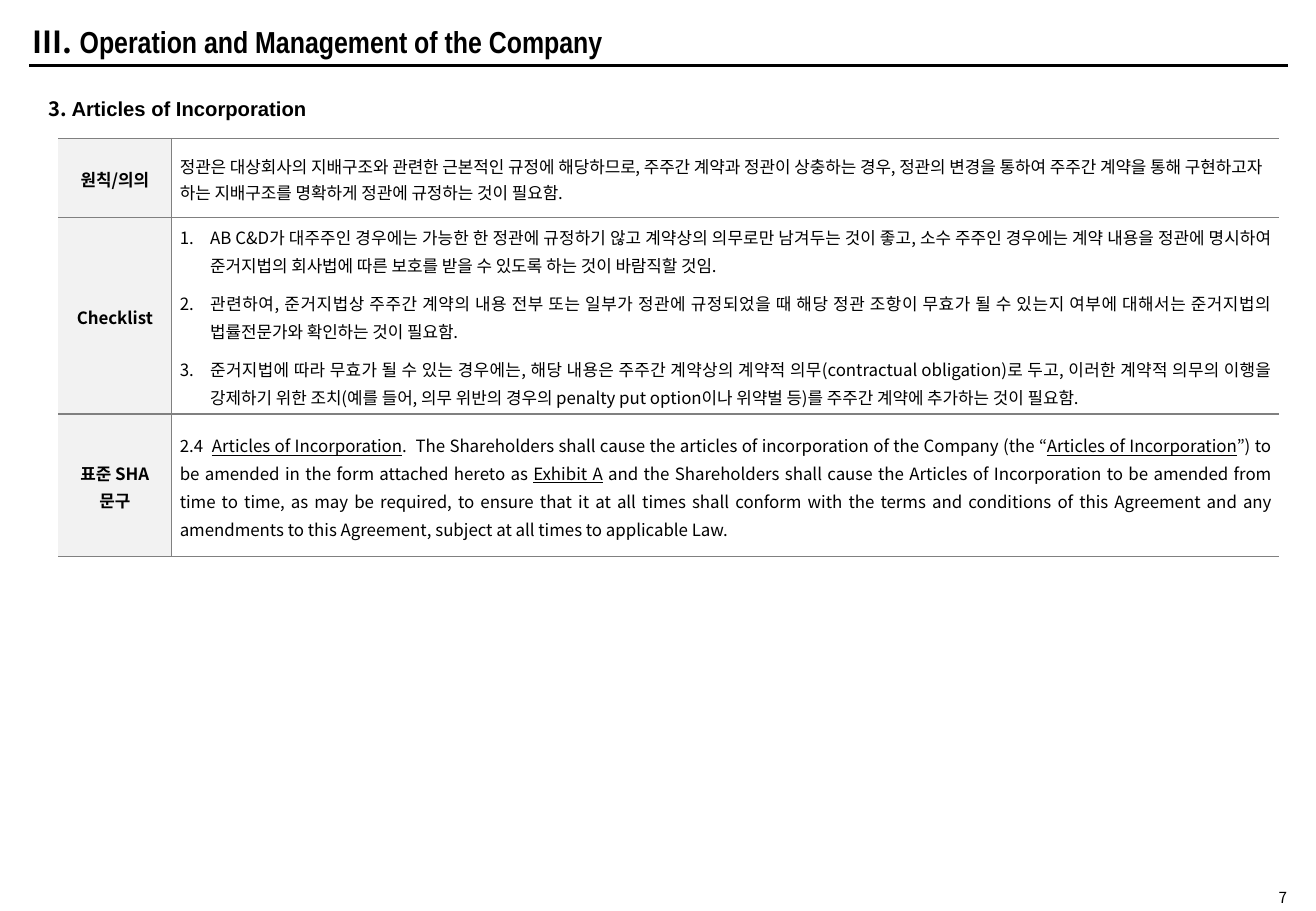
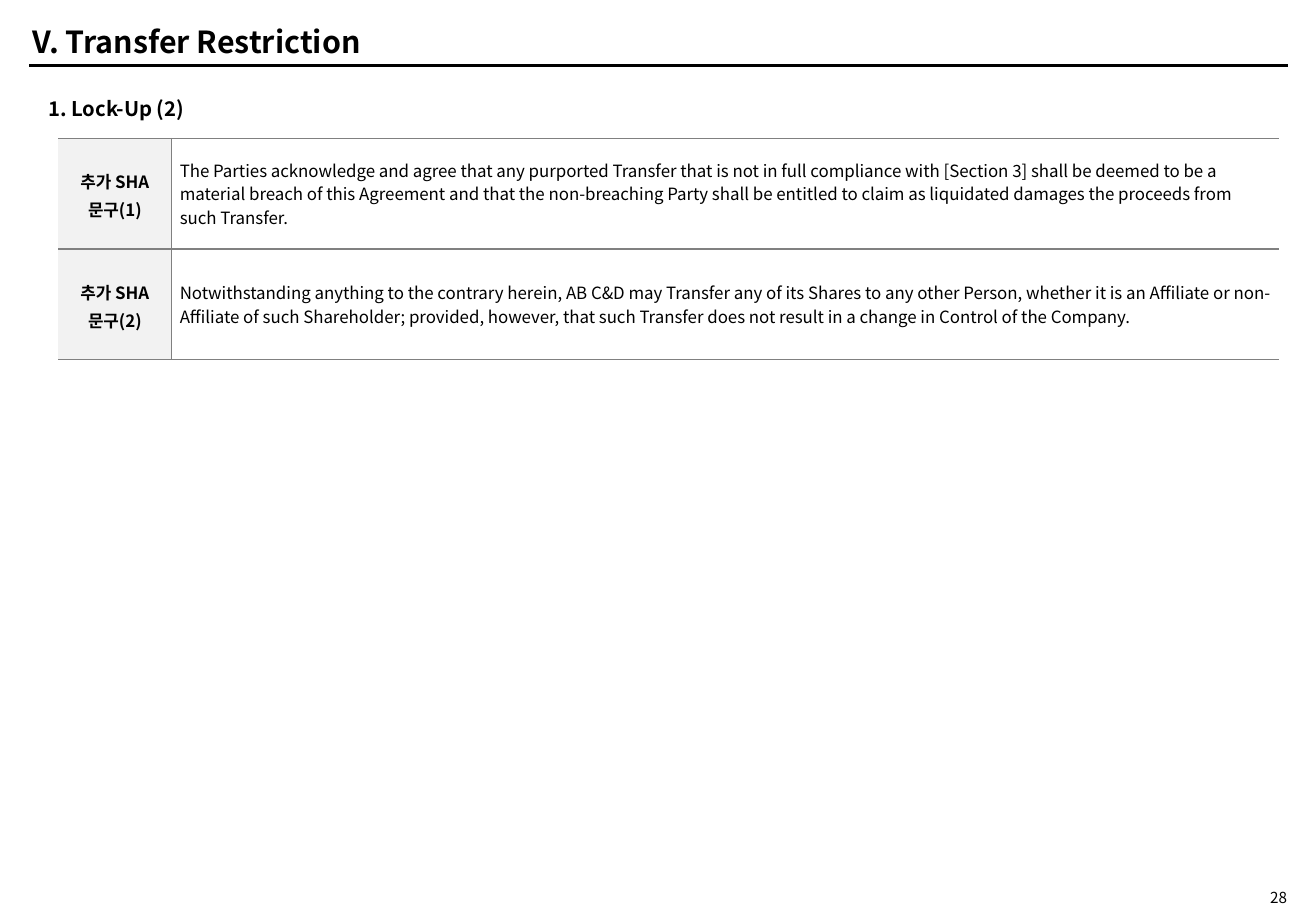
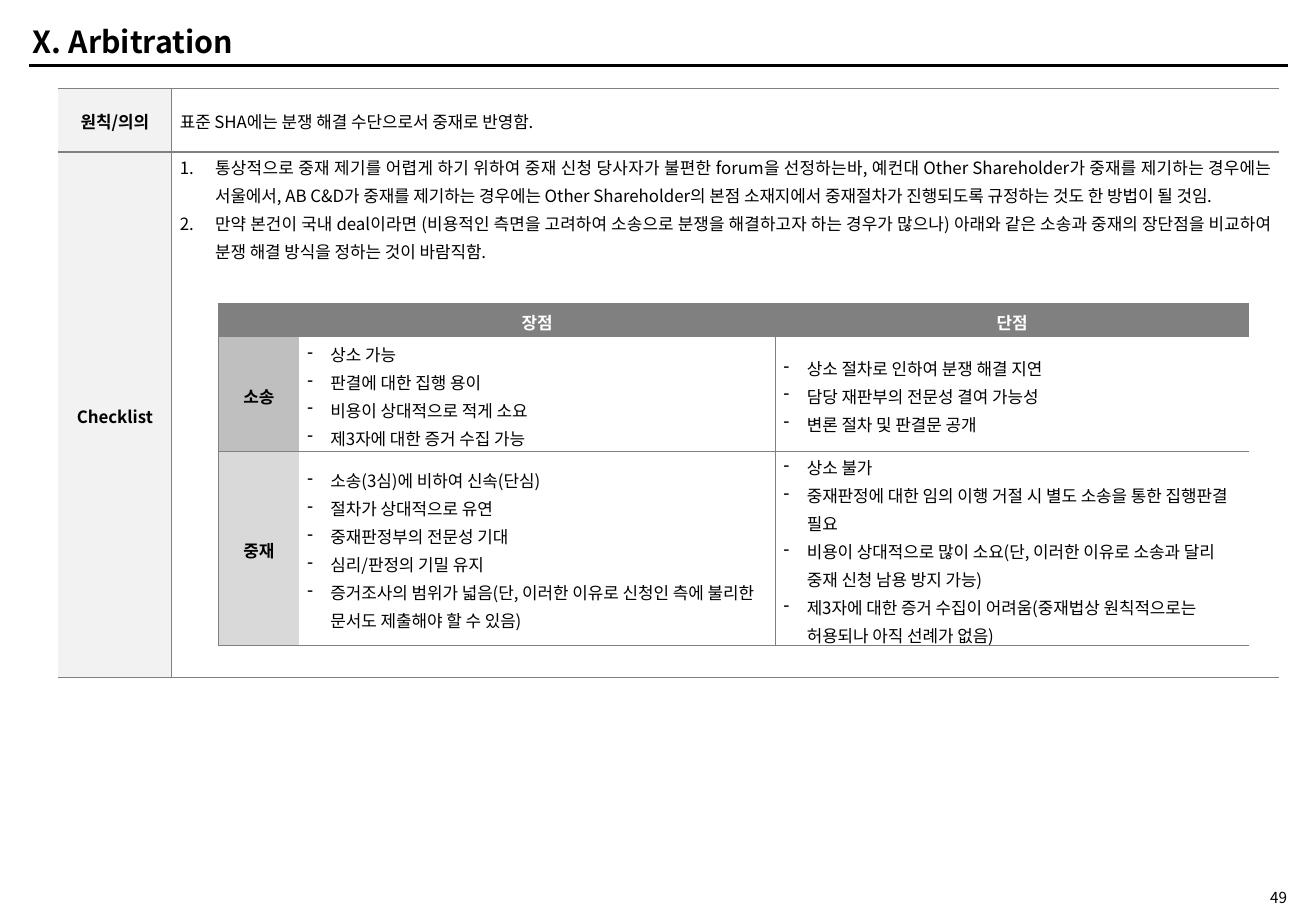
from copy import deepcopy

from lxml import etree
from pptx import Presentation
from pptx.dml.color import RGBColor
from pptx.enum import shapes, text
from pptx.oxml.ns import qn
from pptx.util import Inches, Pt

BLACK = RGBColor(0x00, 0x00, 0x00)
WHITE = RGBColor(0xFF, 0xFF, 0xFF)
RULE = RGBColor(0x80, 0x80, 0x80)
PALE = RGBColor(0xF2, 0xF2, 0xF2)
MID = RGBColor(0xBF, 0xBF, 0xBF)
LIGHT = RGBColor(0xD9, 0xD9, 0xD9)
FONT = "Noto Sans CJK KR"

LEFT, MIDDLE = text.PP_ALIGN.LEFT, text.PP_ALIGN.CENTER
RIGHT, FULL = text.PP_ALIGN.RIGHT, text.PP_ALIGN.JUSTIFY


def sub(parent, tag, **attrs):
    node = etree.SubElement(parent, qn(tag))
    for key, value in attrs.items():
        node.set(key, str(value))
    return node


def add_run(para, words, size, bold, color, font=FONT, under=False):
    """Add one run; a newline in the words becomes a line break."""
    for i, part in enumerate(words.split("\n")):
        if i:
            para.add_line_break()
        run = para.add_run()
        run.text = part
        face = run.font
        face.size, face.bold, face.name = Pt(size), bold, font
        face.color.rgb = color
        if under:
            face.underline = True
        props = run._r.get_or_add_rPr()
        sub(props, "a:ea", typeface=FONT)
        if i:
            run._r.getprevious().append(deepcopy(props))


def write(frame, paras, size=10, bold=False, color=BLACK, align=LEFT,
          line=None, after=0, mark=None, hang=0):
    """Fill a frame; a paragraph is a string or a list of (words, format)."""
    if isinstance(paras, str):
        paras = [paras]
    frame.word_wrap = True
    for i, runs in enumerate(paras):
        para = frame.add_paragraph() if i else frame.paragraphs[0]
        props = para._p.get_or_add_pPr()
        if mark:
            props.set("marL", str(Inches(hang)))
            props.set("indent", str(-Inches(hang)))
            if mark == "1.":
                sub(props, "a:buAutoNum", type="arabicPeriod")
            else:
                sub(props, "a:buChar", char=mark)
        para.alignment = align
        para.space_before, para.space_after = Pt(0), Pt(after)
        if line:
            para.line_spacing = line
        if not runs:
            sub(para._p, "a:endParaRPr", sz=size * 100)
            continue
        if isinstance(runs, str):
            runs = [(runs, {})]
        for words, style in runs:
            add_run(para, words, size, bold, color, **style)


class Deck:
    def __init__(self):
        self.prs = Presentation()
        self.prs.slide_width, self.prs.slide_height = Inches(10.83), Inches(7.5)
        self.slide = None

    def page(self, title, number, width=5.11):
        """Start a slide with its title, rule and page number."""
        self.slide = self.prs.slides.add_slide(self.prs.slide_layouts[5])
        rule = self.slide.shapes.add_connector(
            shapes.MSO_CONNECTOR.STRAIGHT,
            Inches(0.24), Inches(0.54), Inches(10.6), Inches(0.54))
        rule.line.color.rgb, rule.line.width = BLACK, Pt(2)
        sub(rule._element.spPr, "a:effectLst")
        head = self.slide.shapes.title
        head.left, head.top = Inches(0.17), Inches(0.15)
        head.width, head.height = Inches(width), Inches(0.38)
        head.text_frame.auto_size = text.MSO_AUTO_SIZE.NONE
        head.text_frame.vertical_anchor = text.MSO_ANCHOR.MIDDLE
        write(head.text_frame, [title], size=18, bold=True)
        foot = self.box(9.75, 7.31, 0.94, 0.15, str(number), size=9, align=RIGHT)
        foot.margin_top = foot.margin_bottom = 0
        foot.vertical_anchor = text.MSO_ANCHOR.MIDDLE

    def box(self, left, top, width, height, paras, **style):
        shape = self.slide.shapes.add_textbox(
            Inches(left), Inches(top), Inches(width), Inches(height))
        write(shape.text_frame, paras, **style)
        return shape.text_frame

    def topic(self, runs):
        self.box(0.3, 0.74, 10.02, 0.3, [runs], size=12, bold=True)

    def grid(self, left, top, cols, rows):
        """Add a bare table with the given column widths and row heights."""
        table = self.slide.shapes.add_table(
            len(rows), len(cols), Inches(left), Inches(top),
            Inches(sum(cols)), Inches(sum(rows))).table
        table.first_row = table.horz_banding = False
        for col, width in zip(table.columns, cols):
            col.width = Inches(width)
        for row, height in zip(table.rows, rows):
            row.height = Inches(height)
        return table

    def cell(self, cell, paras, sides, weight, fill=None, top=False, **style):
        """Fill a cell; sides names the edges that carry a line."""
        cell.margin_left = cell.margin_right = Inches(0.07)
        cell.margin_top = cell.margin_bottom = 0
        cell.vertical_anchor = (text.MSO_ANCHOR.TOP if top
                                else text.MSO_ANCHOR.MIDDLE)
        props = cell._tc.get_or_add_tcPr()
        for side in "LRTB":
            edge = sub(props, "a:ln" + side, w=Pt(weight))
            if side in sides:
                sub(sub(edge, "a:solidFill"), "a:srgbClr", val=RULE)
            else:
                sub(edge, "a:noFill")
        if fill is None:
            cell.fill.background()
        else:
            cell.fill.solid()
            cell.fill.fore_color.rgb = fill
        write(cell.text_frame, paras, **style)

    def terms(self, top, rows, line=1.1, after=0):
        """Add the label and content table; a row is height, label, text, format."""
        table = self.grid(0.48, top, [0.93, 9.12], [row[0] for row in rows])
        for i, (_, label, paras, style) in enumerate(rows):
            self.cell(table.cell(i, 0), label, "TBR", 1, PALE, bold=True,
                      align=MIDDLE, line=line, after=after)
            self.cell(table.cell(i, 1), paras, "LTB", 1, after=after, **style)

    def versus(self, left, top, cols, heads, rows):
        """Add the comparison table; a row is height, label, fill, two lists."""
        table = self.grid(left, top, cols, [0.27] + [row[0] for row in rows])
        sides = ["LTB", "TBR", "LTB"]
        strong = dict(bold=True, align=MIDDLE, line=1.15)
        for j, head in enumerate(heads):
            self.cell(table.cell(0, j), head, sides[j], 0.5, RULE,
                      color=WHITE, **strong)
        for i, (_, label, fill, *lists) in enumerate(rows, 1):
            self.cell(table.cell(i, 0), label, sides[0], 0.5, fill, **strong)
            for j, items in enumerate(lists, 1):
                self.cell(table.cell(i, j), items, sides[j], 0.5,
                          line=1.15, mark="-", hang=0.19)


def main():
    deck = Deck()
    under = dict(under=True)

    # Articles of incorporation
    deck.page([("III. ", {}),
               ("Operation and Management of the Company",
                dict(font="Arial Narrow"))], 7)
    deck.topic([("3. ", {}), ("Articles of Incorporation", dict(font="Arial"))])
    deck.terms(1.14, [
        (0.65, "원칙/의의",
         "정관은 대상회사의 지배구조와 관련한 근본적인 규정에 해당하므로, 주주간 계약과 정관이 "
         "상충하는 경우, 정관의 변경을 통하여 주주간 계약을 통해 구현하고자 하는 지배구조를 "
         "명확하게 정관에 규정하는 것이 필요함.", dict(line=1.1)),
        (1.62, "Checklist", [
            "AB C&D가 대주주인 경우에는 가능한 한 정관에 규정하기 않고 계약상의 의무로만 남겨두는 "
            "것이 좋고, 소수 주주인 경우에는 계약 내용을 정관에 명시하여 준거지법의 회사법에 따른 "
            "보호를 받을 수 있도록 하는 것이 바람직할 것임.",
            "관련하여, 준거지법상 주주간 계약의 내용 전부 또는 일부가 정관에 규정되었을 때 해당 정관 "
            "조항이 무효가 될 수 있는지 여부에 대해서는 준거지법의 법률전문가와 확인하는 것이 필요함.",
            "준거지법에 따라 무효가 될 수 있는 경우에는, 해당 내용은 주주간 계약상의 계약적 "
            "의무(contractual obligation)로 두고, 이러한 계약적 의무의 이행을 강제하기 위한 "
            "조치(예를 들어, 의무 위반의 경우의 penalty put option이나 위약벌 등)를 주주간 계약에 "
            "추가하는 것이 필요함."],
         dict(align=FULL, line=1.15, mark="1.", hang=0.25)),
        (1.17, "표준 SHA\n문구", [[
            ("2.4  ", {}), ("Articles of Incorporation", under),
            (".  The Shareholders shall cause the articles of incorporation "
             "of the Company (the “", {}),
            ("Articles of Incorporation", under),
            ("”) to be amended in the form attached hereto as ", {}),
            ("Exhibit A", under),
            (" and the Shareholders shall cause the Articles of Incorporation "
             "to be amended from time to time, as may be required, to ensure "
             "that it at all times shall conform with the terms and conditions "
             "of this Agreement and any amendments to this Agreement, subject "
             "at all times to applicable Law.", {})]],
         dict(align=FULL, line=1.15)),
    ], after=6)

    # Lock-up
    deck.page("V. Transfer Restriction", 28, 7.47)
    deck.topic("1. Lock-Up (2)")
    clause = dict(line=Pt(14))
    deck.terms(1.14, [
        (0.91, "추가 SHA\n문구(1)",
         "The Parties acknowledge and agree that any purported Transfer that is "
         "not in full compliance with [Section 3] shall be deemed to be a "
         "material breach of this Agreement and that the non-breaching Party "
         "shall be entitled to claim as liquidated damages the proceeds from "
         "such Transfer.", clause),
        (0.91, "추가 SHA\n문구(2)",
         "Notwithstanding anything to the contrary herein, AB C&D may Transfer "
         "any of its Shares to any other Person, whether it is an Affiliate or "
         "non-Affiliate of such Shareholder; provided, however, that such "
         "Transfer does not result in a change in Control of the Company.",
         clause),
    ], line=1.15)

    # Arbitration
    deck.page("X. Arbitration", 49)
    deck.terms(0.73, [
        (0.52, "원칙/의의", "표준 SHA에는 분쟁 해결 수단으로서 중재로 반영함.",
         dict(line=1.1)),
        (4.33, "Checklist", [
            "통상적으로 중재 제기를 어렵게 하기 위하여 중재 신청 당사자가 불편한 forum을 "
            "선정하는바, 예컨대 Other Shareholder가 중재를 제기하는 경우에는 서울에서, "
            "AB C&D가 중재를 제기하는 경우에는 Other Shareholder의 본점 소재지에서 "
            "중재절차가 진행되도록 규정하는 것도 한 방법이 될 것임.",
            "만약 본건이 국내 deal이라면 (비용적인 측면을 고려하여 소송으로 분쟁을 해결하고자 하는 "
            "경우가 많으나) 아래와 같은 소송과 중재의 장단점을 비교하여 분쟁 해결 방식을 정하는 것이 "
            "바람직함."],
         dict(align=FULL, line=1.15, mark="1.", hang=0.29, top=True)),
    ])
    deck.versus(1.8, 2.5, [0.66, 3.92, 3.9], ["", "장점", "단점"], [
        (0.95, "소송", MID,
         ["상소 가능", "판결에 대한 집행 용이", "비용이 상대적으로 적게 소요",
          "제3자에 대한 증거 수집 가능"],
         ["상소 절차로 인하여 분쟁 해결 지연", "담당 재판부의 전문성 결여 가능성",
          "변론 절차 및 판결문 공개"]),
        (1.59, "중재", LIGHT,
         ["소송(3심)에 비하여 신속(단심)", "절차가 상대적으로 유연",
          "중재판정부의 전문성 기대", "심리/판정의 기밀 유지",
          "증거조사의 범위가 넓음(단, 이러한 이유로 신청인 측에 불리한 문서도 "
          "제출해야 할 수 있음)"],
         ["상소 불가",
          "중재판정에 대한 임의 이행 거절 시 별도 소송을 통한 집행판결 필요",
          "비용이 상대적으로 많이 소요(단, 이러한 이유로 소송과 달리 중재 신청 남용 "
          "방지 가능)",
          "제3자에 대한 증거 수집이 어려움(중재법상 원칙적으로는 허용되나 아직 선례가 "
          "없음)"]),
    ])

    deck.prs.save("out.pptx")


if __name__ == "__main__":
    main()
